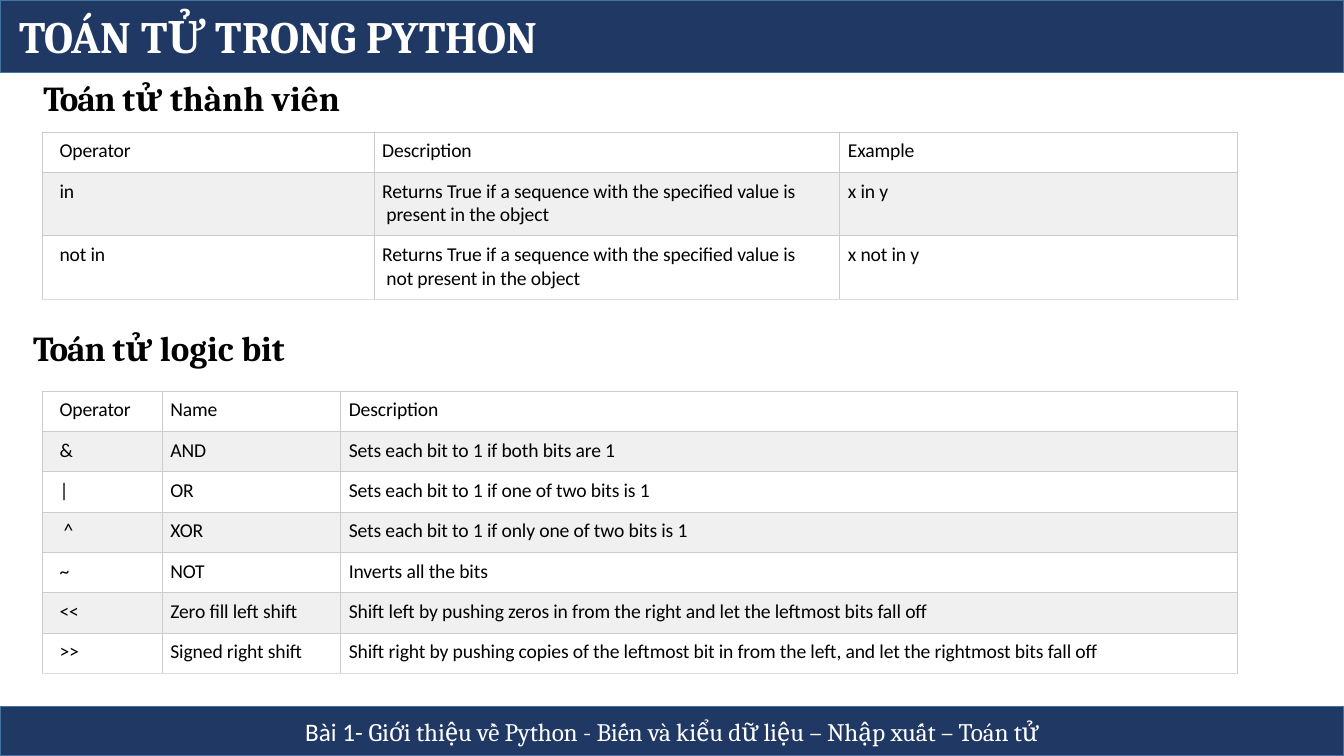
"""Build a slide on Python membership and bitwise operators."""
from lxml.etree import SubElement
from pptx import Presentation
from pptx.dml.color import RGBColor
from pptx.enum.shapes import MSO_SHAPE
from pptx.enum.text import MSO_ANCHOR, MSO_AUTO_SIZE, PP_ALIGN
from pptx.oxml.ns import qn
from pptx.util import Inches, Pt

NAVY, EDGE, WHITE, BLACK = "203864", "43739E", "FFFFFF", "000000"
STRIPE, GRID, GRID_END = "F0F0F0", "CCCCCC", "DDDDDD"

TITLE = "TOÁN TỬ TRONG PYTHON"
FOOTER = [
    ("Bài 1- ", "Calibri", 0),
    ("Giới thiệu về Python - Biến và kiểu dữ liệu – Nhập xuất – Toán tử", "Cambria", -0.1),
]
HEADINGS = [
    (0.42, 0.75, 3.08, [("Toán ", "Cambria", -0.7), ("tử thành viên", "Cambria", 0)]),
    (0.32, 3.23, 2.63, [("Toán ", "Cambria", -0.7), ("tử logic bit", "Cambria", 0)]),
]
MEMBERSHIP = [
    ("Operator", "Description", "Example"),
    ("in", "Returns True if a sequence with the specified value is\v present in the object", "x in y"),
    ("not in", "Returns True if a sequence with the specified value is\v not present in the object",
     "x not in y"),
]
BITWISE = [
    ("Operator", "Name", "Description"),
    ("&", "AND", "Sets each bit to 1 if both bits are 1"),
    ("|", "OR", "Sets each bit to 1 if one of two bits is 1"),
    ("^", "XOR", "Sets each bit to 1 if only one of two bits is 1"),
    ("~", "NOT", "Inverts all the bits"),
    ("<<", "Zero fill left shift",
     "Shift left by pushing zeros in from the right and let the leftmost bits fall off"),
    (">>", "Signed right shift",
     "Shift right by pushing copies of the leftmost bit in from the left, "
     "and let the rightmost bits fall off"),
]
TABLES = [
    (1.31, [3.29, 4.62, 3.94], [0.4, 0.63, 0.63], MEMBERSHIP),
    (3.88, [1.19, 1.77, 8.89], [0.4] * 7, BITWISE),
]


def color(value):
    return RGBColor.from_string(value)


def write(frame, parts, size, ink=BLACK, bold=False, align=PP_ALIGN.LEFT, indent=0):
    paragraph = frame.paragraphs[0]
    paragraph.alignment = align
    paragraph._p.get_or_add_pPr().set("marL", str(Inches(indent)))
    for words, font, spacing in parts:
        for number, line in enumerate(words.split("\v")):
            if number:
                paragraph.add_line_break()
            run = paragraph.add_run()
            run.text = line
            run.font.name, run.font.size, run.font.bold = font, Pt(size), bold
            run.font.color.rgb = color(ink)
            run._r.get_or_add_rPr().set("spc", str(round(spacing * 100)))


def add_bar(slide, top, height):
    bar = slide.shapes.add_shape(
        MSO_SHAPE.RECTANGLE, 0, Inches(top), Inches(13.33), Inches(height))
    bar.shadow.inherit = False
    bar.fill.solid()
    bar.fill.fore_color.rgb = color(NAVY)
    bar.line.color.rgb = color(EDGE)
    bar.line.width = Pt(1)
    return bar


def add_borders(cell, bottom):
    properties = cell._tc.get_or_add_tcPr()
    for side, ink in (("L", GRID), ("R", GRID), ("T", GRID), ("B", bottom)):
        border = SubElement(properties, qn(f"a:ln{side}"), w=str(Pt(0.75)))
        SubElement(SubElement(border, qn("a:solidFill")), qn("a:srgbClr"), val=ink)


def add_operators(slide, top, widths, heights, rows):
    table = slide.shapes.add_table(
        len(rows), len(widths), Inches(0.42), Inches(top),
        Inches(sum(widths)), Inches(sum(heights))).table
    table.first_row = table.horz_banding = False
    for column, width in zip(table.columns, widths):
        column.width = Inches(width)
    for r, (height, row) in enumerate(zip(heights, rows)):
        table.rows[r].height = Inches(height)
        for c, words in enumerate(row):
            cell = table.cell(r, c)
            cell.margin_left = cell.margin_right = cell.margin_bottom = 0
            cell.margin_top = Inches(0.07)
            add_borders(cell, GRID_END if r == len(rows) - 1 else GRID)
            cell.fill.solid()
            cell.fill.fore_color.rgb = color(STRIPE if r % 2 else WHITE)
            indent = 0.08 if c else 0.21 if words == "^" else 0.17
            write(cell.text_frame, [(words, "Calibri", -0.1)], 14, indent=indent)


def main():
    deck = Presentation()
    deck.slide_width, deck.slide_height = Inches(13.33), Inches(7.5)
    slide = deck.slides.add_slide(deck.slide_layouts[5])

    footer = add_bar(slide, 7.01, 0.49).text_frame
    footer.vertical_anchor = MSO_ANCHOR.MIDDLE
    write(footer, FOOTER, 18, ink=WHITE, align=PP_ALIGN.CENTER)

    add_bar(slide, 0, 0.72)
    title = slide.shapes.title
    slide.shapes._spTree.append(title._element)
    title.left, title.top = Inches(0.09), Inches(0.04)
    title.width, title.height = Inches(13.24), Inches(0.64)
    title.text_frame.auto_size = MSO_AUTO_SIZE.NONE
    title.text_frame.vertical_anchor = MSO_ANCHOR.TOP
    write(title.text_frame, [(TITLE, "Cambria", 0)], 32, ink=WHITE, bold=True)

    for left, top, width, parts in HEADINGS:
        heading = slide.shapes.add_textbox(
            Inches(left), Inches(top), Inches(width), Inches(0.43)).text_frame
        heading.word_wrap = True
        heading.margin_left = heading.margin_right = heading.margin_bottom = 0
        heading.margin_top = Inches(0.01)
        write(heading, parts, 25, bold=True, indent=0.01)

    for operators in TABLES:
        add_operators(slide, *operators)

    deck.save("out.pptx")


if __name__ == "__main__":
    main()
